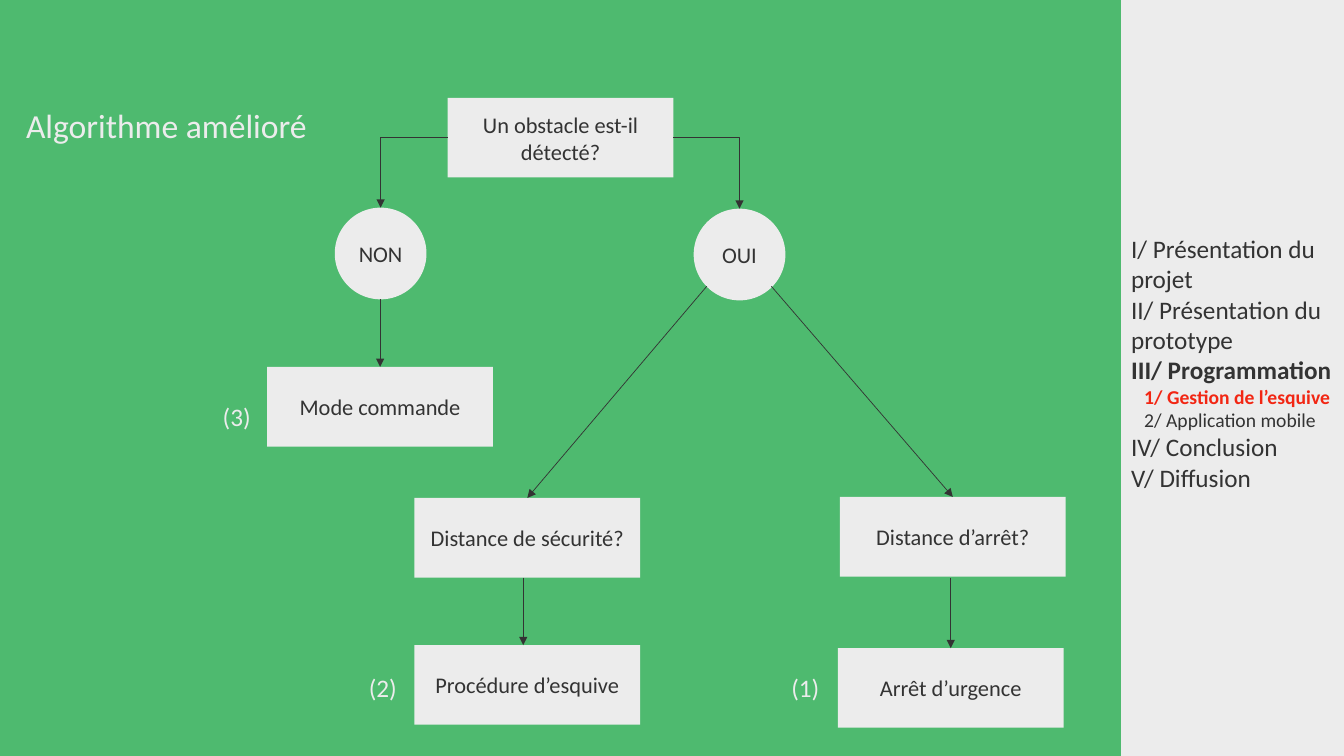
from lxml import etree
from pptx import Presentation
from pptx.dml.color import RGBColor
from pptx.enum.shapes import MSO_CONNECTOR, MSO_SHAPE
from pptx.enum.text import MSO_ANCHOR, MSO_AUTO_SIZE, PP_ALIGN
from pptx.oxml.ns import qn
from pptx.util import Inches, Pt

RECTANGLE, ELLIPSE = MSO_SHAPE.RECTANGLE, MSO_SHAPE.OVAL
STRAIGHT, ELBOW = MSO_CONNECTOR.STRAIGHT, MSO_CONNECTOR.ELBOW
MIDDLE = MSO_ANCHOR.MIDDLE
LEFT, CENTER = PP_ALIGN.LEFT, PP_ALIGN.CENTER
FIT_SHAPE = MSO_AUTO_SIZE.SHAPE_TO_FIT_TEXT
TOP, WEST, BOTTOM, EAST = range(4)


def color(value):
    return RGBColor.from_string(value)


class Flowchart:
    """Draws the elements of a decision diagram on one slide in a shared style."""

    FONT = "Calibri"
    GREEN, PALE, DARK, RED = "4EBA6F", "ECECEC", "333333", "F22613"
    BOX_SIZE = (2.24, 0.79)
    CIRCLE_SIZE = (0.91, 0.91)

    def __init__(self, slide):
        self.slide = slide
        slide.background.fill.solid()
        slide.background.fill.fore_color.rgb = color(self.GREEN)

    def format(self, paragraph, size, ink, bold=False, align=LEFT):
        paragraph.alignment = align
        for run in paragraph.runs:
            run.font.name = self.FONT
            run.font.size = Pt(size)
            run.font.bold = bold
            run.font.color.rgb = color(ink)

    def panel(self, kind, left, top, width, height):
        shape = self.slide.shapes.add_shape(
            kind, Inches(left), Inches(top), Inches(width), Inches(height))
        shape.shadow.inherit = False
        shape.fill.solid()
        shape.fill.fore_color.rgb = color(self.PALE)
        shape.line.fill.background()
        shape.text_frame.word_wrap = True
        shape.text_frame.vertical_anchor = MIDDLE
        return shape

    def node(self, kind, text, left, top):
        size = self.CIRCLE_SIZE if kind == ELLIPSE else self.BOX_SIZE
        shape = self.panel(kind, left, top, *size)
        shape.text_frame.text = text
        self.format(shape.text_frame.paragraphs[0], 16, self.DARK, align=CENTER)
        return shape

    def agenda(self, entries, left, width, height):
        frame = self.panel(RECTANGLE, left, 0, width, height).text_frame
        frame.margin_bottom = Inches(0.35)
        frame.text = "\n".join(entry[0] for entry in entries)
        for paragraph, (_, size, ink, bold, indent) in zip(frame.paragraphs, entries):
            self.format(paragraph, size, ink, bold)
            paragraph._p.get_or_add_pPr().set("marL", str(Inches(indent)))

    def text(self, words, left, top, width, height, size, wrap):
        box = self.slide.shapes.add_textbox(
            Inches(left), Inches(top), Inches(width), Inches(height))
        frame = box.text_frame
        frame.word_wrap = wrap
        frame.text = words
        self.format(frame.paragraphs[0], size, self.PALE)
        return frame

    def title(self, words):
        paragraph = self.text(words, 0.16, 1.04, 5.18, 0.9, 24, True).paragraphs[0]
        paragraph.line_spacing = 0.9
        paragraph.space_before = Pt(10)

    def label(self, words, left, top):
        self.text(words, left, top, 0.48, 0.4, 18, False).auto_size = FIT_SHAPE

    def arrow(self, start, end, begin=None, finish=None, kind=STRAIGHT):
        link = self.slide.shapes.add_connector(
            kind, *(Inches(length) for length in (*start, *end)))
        if begin:
            link.begin_connect(*begin)
        if finish:
            link.end_connect(*finish)
        link.line.color.rgb = color(self.DARK)
        link.line.width = Pt(0.5)
        properties = link._element.spPr
        etree.SubElement(properties.find(qn("a:ln")), qn("a:tailEnd"), type="triangle")
        etree.SubElement(properties, qn("a:effectLst"))
        if kind == ELBOW:
            properties.find(qn("a:prstGeom")).set("prst", "bentConnector2")


def main():
    deck = Presentation()
    deck.slide_width, deck.slide_height = Inches(13.33), Inches(7.5)
    chart = Flowchart(deck.slides.add_slide(deck.slide_layouts[6]))
    dark, red = chart.DARK, chart.RED

    chart.agenda([
        ("I/ Présentation du projet", 18, dark, False, 0),
        ("II/ Présentation du prototype", 18, dark, False, 0),
        ("III/ Programmation", 18, dark, True, 0),
        ("1/ Gestion de l’esquive", 14, red, True, 0.13),
        ("2/ Application mobile", 14, dark, False, 0.13),
        ("IV/ Conclusion", 18, dark, False, 0),
        ("V/ Diffusion", 18, dark, False, 0),
    ], 11.12, 2.21, 7.5)

    obstacle = chart.node(RECTANGLE, "Un obstacle est-il détecté?", 4.44, 0.97)
    yes = chart.node(ELLIPSE, "OUI", 6.88, 2.07)
    no = chart.node(ELLIPSE, "NON", 3.32, 2.06)
    safety = chart.node(RECTANGLE, "Distance de sécurité?", 4.11, 4.94)
    stopping = chart.node(RECTANGLE, "Distance d’arrêt?", 8.33, 4.93)
    command = chart.node(RECTANGLE, "Mode commande", 2.65, 3.64)
    chart.node(RECTANGLE, "Procédure d’esquive", 4.11, 6.4)
    emergency = chart.node(RECTANGLE, "Arrêt d’urgence", 8.31, 6.43)

    chart.arrow((4.44, 1.37), (3.77, 2.06), (obstacle, WEST), (no, TOP), ELBOW)
    chart.arrow((6.68, 1.37), (7.33, 2.07), (obstacle, EAST), (yes, TOP), ELBOW)
    chart.arrow((7.65, 2.84), (9.45, 4.93), finish=(stopping, TOP))
    chart.arrow((7.01, 2.84), (5.23, 4.94), finish=(safety, TOP))
    chart.arrow((3.77, 2.97), (3.77, 3.64), finish=(command, TOP))
    chart.arrow((5.19, 5.73), (5.19, 6.4))
    chart.arrow((9.43, 5.73), (9.43, 6.43), finish=(emergency, TOP))

    chart.title("Algorithme amélioré")
    for words, left, top in (("(1)", 7.75, 6.62), ("(2)", 3.56, 6.62), ("(3)", 2.11, 3.93)):
        chart.label(words, left, top)

    deck.save("out.pptx")


if __name__ == "__main__":
    main()
